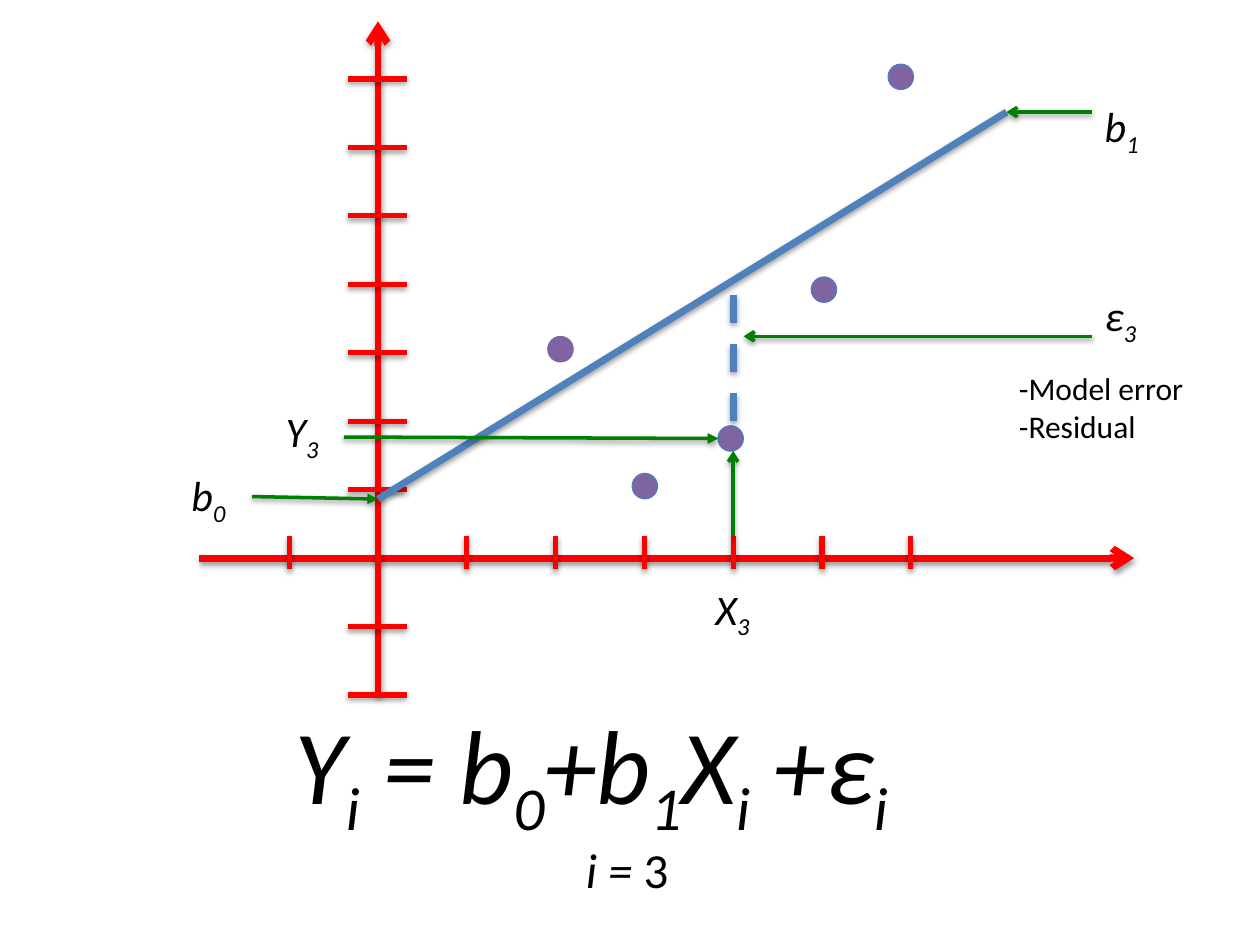
from dataclasses import dataclass

from lxml import etree
from pptx import Presentation
from pptx.dml.color import RGBColor
from pptx.enum.dml import MSO_LINE
from pptx.enum.shapes import MSO_CONNECTOR, MSO_SHAPE
from pptx.enum.text import MSO_AUTO_SIZE
from pptx.oxml.ns import qn
from pptx.shapes.shapetree import SlideShapes
from pptx.util import Cm, Pt

STRAIGHT = MSO_CONNECTOR.STRAIGHT
OVAL = MSO_SHAPE.OVAL
DASH = MSO_LINE.DASH
FIT_SHAPE = MSO_AUTO_SIZE.SHAPE_TO_FIT_TEXT

RED = RGBColor(0xFF, 0x00, 0x00)
GREEN = RGBColor(0x00, 0x80, 0x00)
BLUE = RGBColor(0x4F, 0x81, 0xBD)
DOT_EDGE = RGBColor(0x4B, 0x7E, 0xBC)
PURPLE = RGBColor(0x80, 0x64, 0xA2)
BLACK = RGBColor(0x00, 0x00, 0x00)
FONT = "Calibri"

# Lengths below are in centimetres.
ORIGIN_X, ORIGIN_Y = 7.62, 11.25
STEP_X, STEP_Y = 1.79, 1.38
X_TICKS = (-1, 1, 2, 3, 4, 5, 6)
Y_TICKS = (-2, -1, 1, 2, 3, 4, 5, 6, 7)
TICK_TOP, TICK_BOTTOM = 10.8, 11.48
TICK_LEFT, TICK_RIGHT = 7.01, 8.2
X3 = ORIGIN_X + 4 * STEP_X
INTERCEPT = (ORIGIN_X, 10.06)
LINE_END = (20.29, 2.26)
DOT_SIZE = 0.51
LABEL_WIDTH, LABEL_HEIGHT = 1.47, 1.27

Point = tuple[float, float]


@dataclass(frozen=True)
class Stroke:
    color: RGBColor
    width: float
    head: str = ""
    dashed: bool = False


@dataclass(frozen=True)
class Span:
    text: str
    subscript: bool = False
    italic: bool = True


@dataclass(frozen=True)
class Annotation:
    symbol: str
    index: str
    corner: Point
    start: Point
    end: Point
    head: str


AXIS = Stroke(RED, 4, "arrow")
TICK = Stroke(RED, 3)
REGRESSION = Stroke(BLUE, 4)
RESIDUAL = Stroke(BLUE, 4, dashed=True)

OBSERVATIONS = (
    (11.3, 7.04, PURPLE),
    (14.73, 8.84, DOT_EDGE),
    (13.0, 9.8, DOT_EDGE),
    (16.61, 5.84, DOT_EDGE),
    (18.16, 1.55, DOT_EDGE),
)

ANNOTATIONS = (
    Annotation("b", "0", (3.61, 9.35), (5.08, 10.01), INTERCEPT, "triangle"),
    Annotation("Y", "3", (5.51, 8.05), (6.93, 8.81), (14.48, 8.84), "triangle"),
    Annotation("X", "3", (14.17, 11.63), (X3, TICK_TOP), (X3, 9.09), "arrow"),
    Annotation("ε", "3", (22.02, 5.72), (22.02, 6.78), (14.99, 6.78), "arrow"),
    Annotation("b", "1", (22.02, 1.91), (22.02, 2.26), LINE_END, "arrow"),
)

EQUATION = [
    span
    for term, index in (("Y", "i"), (" = b", "0"), ("+b", "1"), ("X", "i"), (" +ε", "i"))
    for span in (Span(term), Span(index, subscript=True))
]


def add_line(shapes: SlideShapes, start: Point, end: Point, stroke: Stroke) -> None:
    """Draw a straight line with a soft shadow below it."""
    connector = shapes.add_connector(STRAIGHT, *(Cm(v) for v in start + end))
    connector.line.color.rgb = stroke.color
    connector.line.width = Pt(stroke.width)
    if stroke.dashed:
        connector.line.dash_style = DASH
    properties = connector.element.spPr
    if stroke.head:
        etree.SubElement(properties.find(qn("a:ln")), qn("a:tailEnd"), type=stroke.head)
    effects = etree.SubElement(properties, qn("a:effectLst"))
    shadow = etree.SubElement(
        effects, qn("a:outerShdw"), blurRad=str(Pt(3.1)), dist=str(Pt(1.6)),
        dir="5400000", rotWithShape="0",
    )
    color = etree.SubElement(shadow, qn("a:srgbClr"), val=str(BLACK))
    etree.SubElement(color, qn("a:alpha"), val="38000")


def add_dot(shapes: SlideShapes, x: float, y: float, edge: RGBColor) -> None:
    dot = shapes.add_shape(
        OVAL, Cm(x - DOT_SIZE / 2), Cm(y - DOT_SIZE / 2), Cm(DOT_SIZE), Cm(DOT_SIZE)
    )
    dot.shadow.inherit = False
    dot.fill.solid()
    dot.fill.fore_color.rgb = PURPLE
    dot.line.color.rgb = edge
    dot.line.width = Pt(0.75)


def add_text(
    shapes: SlideShapes,
    box: tuple[float, float, float, float],
    size: int,
    lines: list[list[Span]],
    indent: float = 0,
) -> None:
    """Write one paragraph for each list of spans."""
    frame = shapes.add_textbox(*(Cm(v) for v in box)).text_frame
    frame.word_wrap = True
    frame.auto_size = FIT_SHAPE
    for number, spans in enumerate(lines):
        paragraph = frame.add_paragraph() if number else frame.paragraphs[0]
        if indent:
            paragraph.level = 1
            paragraph._p.get_or_add_pPr().set("marL", str(Cm(indent)))
        for span in spans:
            run = paragraph.add_run()
            run.text = span.text
            run.font.name = FONT
            run.font.size = Pt(size)
            run.font.italic = span.italic
            run.font.color.rgb = BLACK
            if span.subscript:
                run._r.get_or_add_rPr().set("baseline", "-25000")


def add_axes(shapes: SlideShapes) -> None:
    add_line(shapes, (4.01, ORIGIN_Y), (22.86, ORIGIN_Y), AXIS)
    add_line(shapes, (ORIGIN_X, 14.02), (ORIGIN_X, 0.43), AXIS)
    for tick in X_TICKS:
        x = ORIGIN_X + tick * STEP_X
        add_line(shapes, (x, TICK_BOTTOM), (x, TICK_TOP), TICK)
    for tick in Y_TICKS:
        y = ORIGIN_Y - tick * STEP_Y
        add_line(shapes, (TICK_LEFT, y), (TICK_RIGHT, y), TICK)


def add_annotation(shapes: SlideShapes, note: Annotation) -> None:
    label = [Span(note.symbol), Span(note.index, subscript=True)]
    add_text(shapes, (*note.corner, LABEL_WIDTH, LABEL_HEIGHT), 24, [label])
    add_line(shapes, note.start, note.end, Stroke(GREEN, 2, note.head))


def main() -> None:
    presentation = Presentation()
    presentation.slide_width = Cm(25.4)
    presentation.slide_height = Cm(19.05)
    shapes = presentation.slides.add_slide(presentation.slide_layouts[6]).shapes

    add_axes(shapes)
    for x, y, edge in OBSERVATIONS:
        add_dot(shapes, x, y, edge)
    add_line(shapes, INTERCEPT, LINE_END, REGRESSION)
    add_text(shapes, (4.42, 13.97, 16.69, 2.82), 60, [EQUATION], indent=1.27)
    add_line(shapes, (X3, 8.48), (X3, 5.74), RESIDUAL)
    for note in ANNOTATIONS:
        add_annotation(shapes, note)
    add_text(
        shapes, (11.56, 16.79, 3.43, 1.45), 28, [[Span("i = "), Span("3", italic=False)]]
    )
    meanings = [[Span(text, italic=False)] for text in ("-Model error", "-Residual")]
    add_text(shapes, (20.29, 7.32, 4.04, 1.8), 18, meanings)
    presentation.save("out.pptx")


if __name__ == "__main__":
    main()
